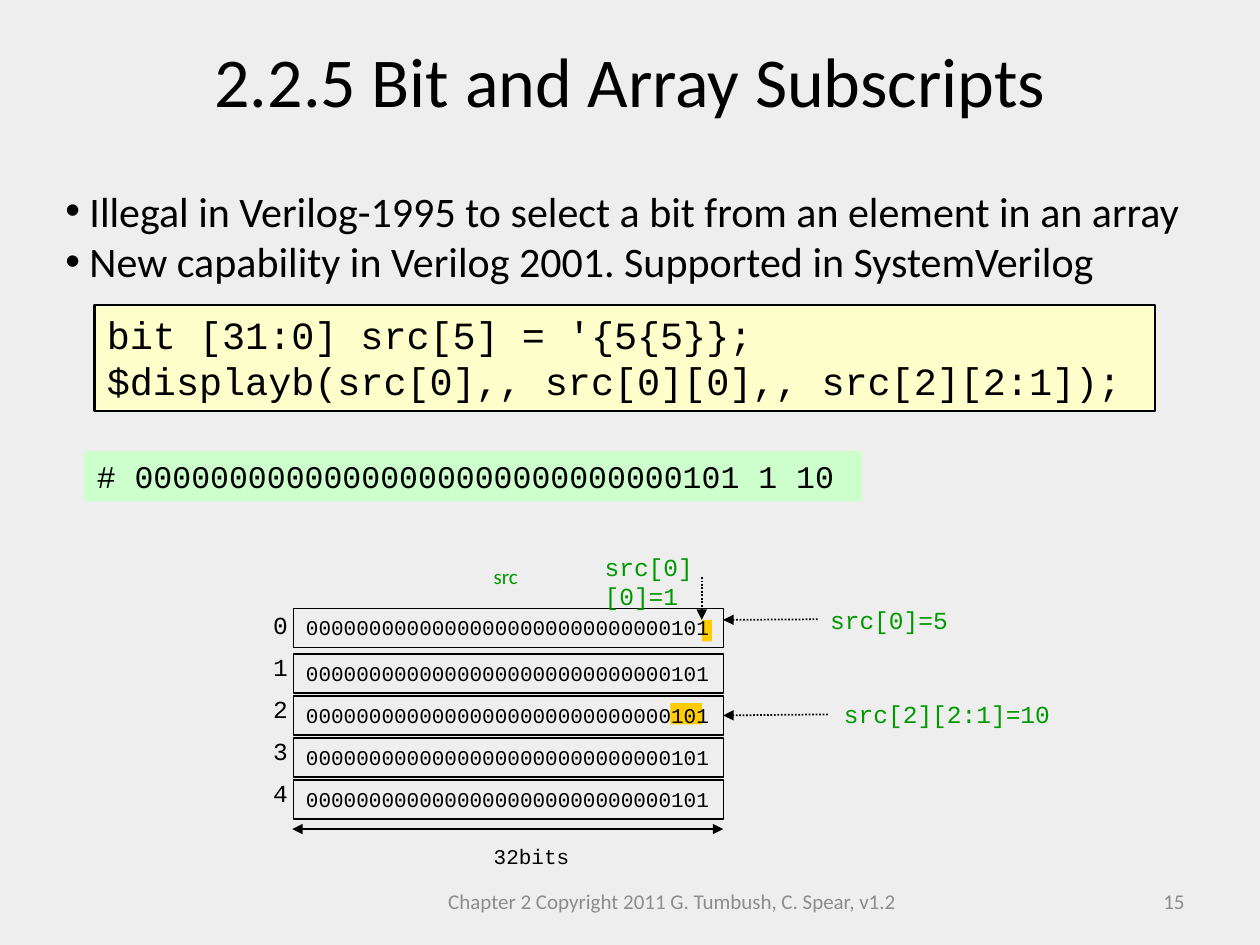
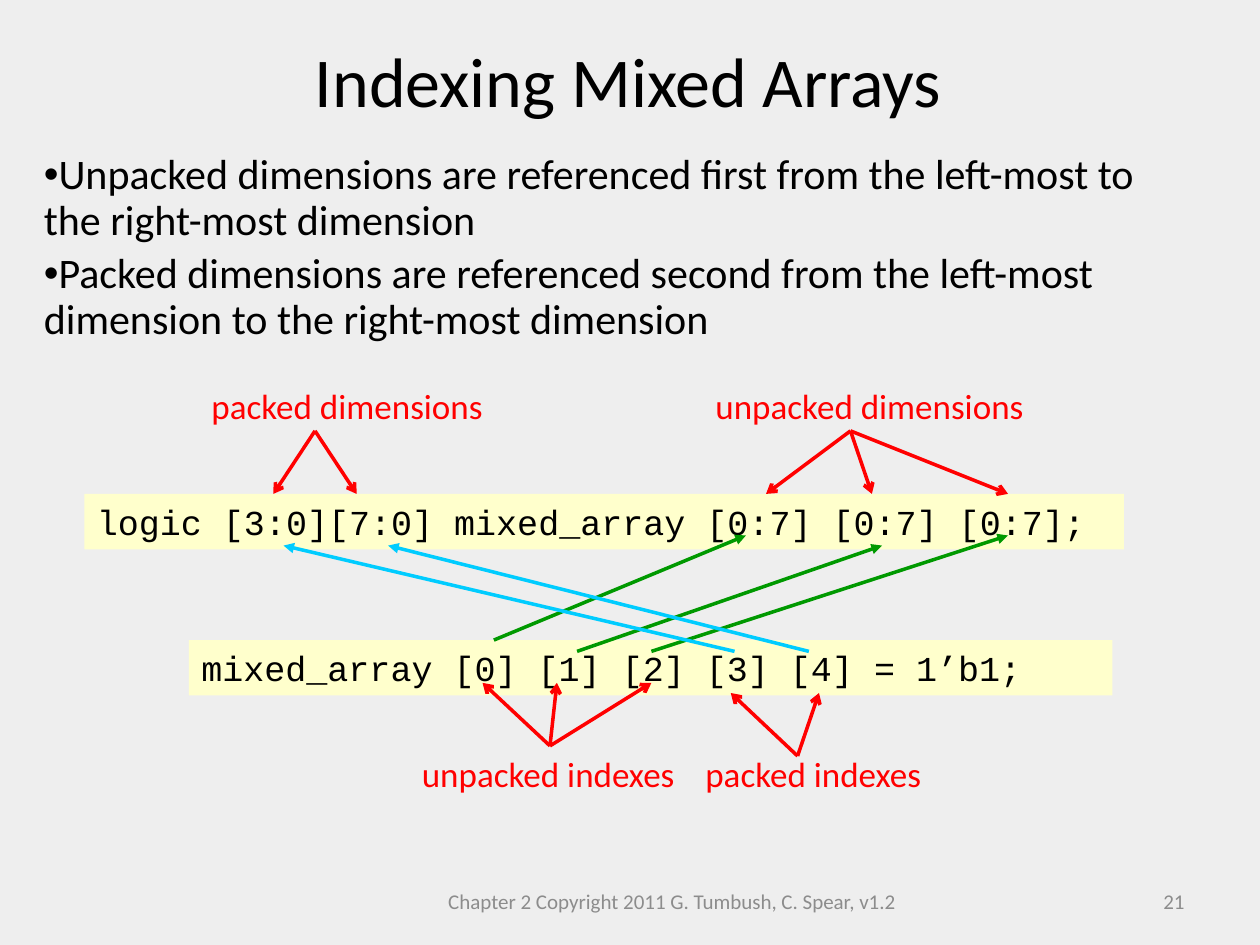
from lxml import etree
from pptx import Presentation
from pptx.dml.color import RGBColor
from pptx.enum import dml, shapes, text
from pptx.oxml.ns import qn
from pptx.util import Inches, Pt

COLOURS = {
    "background": "EEEEEE", "ink": "000000", "footer": "8C8C8C",
    "code": "FFFFCC", "output": "CCFFCC", "highlight": "FFCC00",
    "green": "009900", "blue": "00CCFF", "red": "FF0000",
}
SANS, MONO = "Calibri", "Courier New"
LEFT, CENTER, RIGHT = text.PP_ALIGN.LEFT, text.PP_ALIGN.CENTER, text.PP_ALIGN.RIGHT
TOP_SIDE, LEFT_SIDE, RIGHT_SIDE = 0, 1, 3
FOOTER = "Chapter 2 Copyright 2011 G. Tumbush, C. Spear, v1.2"

# Boxes are (left, top, width, height) and points (x, y), in inches.
SUBSCRIPTS = {
    "title": "2.2.5 Bit and Array Subscripts",
    "title_box": (0, 0.25, 10, 0.77),
    "number": "15",
    "bullets": [
        " Illegal in Verilog-1995 to select a bit from an element in an array",
        " New capability in Verilog 2001. Supported in SystemVerilog",
    ],
    "code": ["bit [31:0] src[5] = '{5{5}};",
             "$displayb(src[0],, src[0][0],, src[2][2:1]);"],
    "output": "# 00000000000000000000000000000101 1 10",
    "word": "00000000000000000000000000000101",
    "highlights": [(5.57, 4.92, 0.08, 0.17), (5.32, 5.58, 0.25, 0.17)],
}
ROW_COUNT, ROW_PITCH = 5, 1 / 3
FIRST_ROW_TOP, SECOND_ROW_TOP = 4.83, 5.19
ROW_LEFT, ROW_WIDTH, ROW_HEIGHT = 2.33, 3.41, 0.31

MIXED = {
    "title": "Indexing Mixed Arrays",
    "title_box": (0.33, 0.25, 9.31, 0.77),
    "number": "21",
    "bullets": [
        "Unpacked dimensions are referenced first from the left-most to the right-most dimension",
        "Packed dimensions are referenced second from the left-most dimension to the right-most dimension",
    ],
    "code": [
        ("logic [3:0][7:0] mixed_array [0:7] [0:7] [0:7];", (0.67, 3.92, 8.25, 0.44)),
        ("mixed_array [0] [1] [2] [3] [4] = 1’b1;", (1.5, 5.08, 7.33, 0.44)),
    ],
    "index_links": [
        ("green", [((3.92, 5.08), (5.92, 4.25)), ((4.58, 5.17), (7, 4.33)),
                   ((5.17, 5.17), (8, 4.25))]),
        ("blue", [((5.83, 5.17), (2.25, 4.33)), ((6.42, 5.17), (3.08, 4.33))]),
    ],
    # label, label box, start of its arrows, arrow tips, starts at middle of label top
    "fans": [
        ("packed dimensions", (1.58, 3, 2.38, 0.44), (2.5, 3.42),
         [(2.17, 3.92), (2.83, 3.92)], False),
        ("unpacked dimensions", (5.58, 3, 2.67, 0.44), (6.75, 3.42),
         [(6.92, 3.92), (6.08, 3.92), (8, 3.92)], False),
        ("unpacked indexes", (3.25, 5.92, 2.23, 0.44), (4.36, 5.92),
         [(3.83, 5.42), (4.42, 5.42), (5.17, 5.42)], True),
        ("packed indexes", (5.5, 5.92, 1.93, 0.44), (6.33, 6),
         [(5.8, 5.5), (6.5, 5.5)], False),
    ],
}


def colour(name):
    return RGBColor.from_string(COLOURS[name])


def write(box, lines, size, font=SANS, ink="ink", align=LEFT, middle=False, wrap=True):
    frame = box.text_frame
    frame.word_wrap = wrap
    frame.vertical_anchor = text.MSO_ANCHOR.MIDDLE if middle else text.MSO_ANCHOR.TOP
    for index, line in enumerate(lines):
        para = frame.paragraphs[0] if index == 0 else frame.add_paragraph()
        para.alignment = align
        span = para.add_run()
        span.text = line
        span.font.size = Pt(size)
        span.font.name = font
        span.font.color.rgb = colour(ink)
    return box


def add_text(parts, place, lines, size, **style):
    return write(parts.add_textbox(*map(Inches, place)), lines, size, **style)


def add_rectangle(parts, place, fill=None, line_width=None):
    box = parts.add_shape(shapes.MSO_SHAPE.RECTANGLE, *map(Inches, place))
    box.shadow.inherit = False
    if fill:
        box.fill.solid()
        box.fill.fore_color.rgb = colour(fill)
    else:
        box.fill.background()
    if line_width:
        box.line.color.rgb = colour("ink")
        box.line.width = Pt(line_width)
    else:
        box.line.fill.background()
    return box


def add_arrow(parts, start, end, ink="ink", width=2, tip="triangle", both=False, dotted=False):
    arrow = parts.add_connector(shapes.MSO_CONNECTOR.STRAIGHT,
                                *map(Inches, (*start, *end)))
    arrow.line.color.rgb = colour(ink)
    arrow.line.width = Pt(width)
    if dotted:
        arrow.line.dash_style = dml.MSO_LINE.ROUND_DOT
    outline = arrow.line._get_or_add_ln()
    for tag in ("a:headEnd", "a:tailEnd") if both else ("a:tailEnd",):
        etree.SubElement(outline, qn(tag), type=tip)
    etree.SubElement(arrow._element.spPr, qn("a:effectLst"))
    return arrow


def add_bullets(box, margin=0):
    for para in box.text_frame.paragraphs:
        properties = para._p.get_or_add_pPr()
        properties.set("marL", str(Inches(margin)))
        properties.set("indent", "0")
        etree.SubElement(properties, qn("a:buFont"), typeface="Arial")
        etree.SubElement(properties, qn("a:buChar"), char="•")


def add_page(deck, content):
    """Add a slide with the shared background, title, footer and number."""
    page = deck.slides.add_slide(deck.slide_layouts[6])
    page.background.fill.solid()
    page.background.fill.fore_color.rgb = colour("background")
    parts = page.shapes
    add_text(parts, (3.42, 6.95, 3.83, 0.4), [FOOTER], 12,
             ink="footer", align=CENTER, middle=True)
    add_text(parts, content["title_box"], [content["title"]], 40, align=CENTER)
    add_text(parts, (7.17, 6.95, 2.33, 0.4), [content["number"]], 12,
             ink="footer", align=RIGHT, middle=True)
    return parts


def build_subscripts(deck):
    parts = add_page(deck, SUBSCRIPTS)
    add_bullets(add_text(parts, (0.42, 1.42, 9.12, 0.91), SUBSCRIPTS["bullets"], 24, wrap=False))
    write(add_rectangle(parts, (0.75, 2.42, 8.42, 0.84), "code", 1.25),
          SUBSCRIPTS["code"], 22, font=MONO)
    write(add_rectangle(parts, (0.67, 3.58, 6.17, 0.4), "output"),
          [SUBSCRIPTS["output"]], 18, font=MONO)

    for place in SUBSCRIPTS["highlights"]:
        add_rectangle(parts, place, "highlight")
    rows = []
    for index in range(ROW_COUNT):
        top = SECOND_ROW_TOP + (index - 1) * ROW_PITCH if index else FIRST_ROW_TOP
        row = add_rectangle(parts, (ROW_LEFT, top, ROW_WIDTH, ROW_HEIGHT), line_width=0.75)
        rows.append(write(row, [SUBSCRIPTS["word"]], 12, font=MONO, wrap=False))
        add_text(parts, (2.07, FIRST_ROW_TOP + index * ROW_PITCH, 0.32, 0.25),
                 [str(index)], 14, font=MONO, middle=True, wrap=False)
    add_arrow(parts, (2.32, 6.58), (5.74, 6.58), width=0.75, both=True)
    add_text(parts, (3.82, 6.67, 0.8, 0.25), ["32bits"], 12, font=MONO, middle=True, wrap=False)

    add_text(parts, (3.82, 4.42, 0.45, 0.3), ["src"], 12, ink="green", wrap=False)
    label = {"font": MONO, "ink": "green", "wrap": False}
    element = add_text(parts, (6.49, 4.75, 1.14, 0.33), ["src[0]=5"], 14, **label)
    add_text(parts, (4.7, 4.33, 1.48, 0.33), ["src[0][0]=1"], 14, **label)
    add_text(parts, (6.6, 5.5, 1.84, 0.33), ["src[2][2:1]=10"], 14, **label)
    dotted = {"width": 1, "dotted": True}
    add_arrow(parts, (6.49, 4.92), (5.74, 4.92), **dotted).begin_connect(element, LEFT_SIDE)
    add_arrow(parts, (5.57, 4.58), (5.57, 4.92), **dotted)
    add_arrow(parts, (6.57, 5.67), (5.74, 5.67), **dotted).end_connect(rows[2], RIGHT_SIDE)


def build_mixed(deck):
    parts = add_page(deck, MIXED)
    body = add_text(parts, (-0.25, 1.17, 9.42, 2.83), MIXED["bullets"], 24)
    for para in body.text_frame.paragraphs:
        para.line_spacing = 0.9
        para.space_before = Pt(4.8)
    add_bullets(body, margin=0.5)
    for line, place in MIXED["code"]:
        write(add_rectangle(parts, place, "code"), [line], 20, font=MONO)
    for ink, links in MIXED["index_links"]:
        group = parts.add_group_shape().shapes
        for start, end in links:
            add_arrow(group, start, end, ink)
    for name, place, start, tips, from_label in MIXED["fans"]:
        group = parts.add_group_shape().shapes
        label = add_text(group, place, [name], 20, ink="red", wrap=False)
        for tip in tips:
            arrow = add_arrow(group, start, tip, "red", tip="arrow")
            if from_label:
                arrow.begin_connect(label, TOP_SIDE)


def main():
    deck = Presentation()
    deck.slide_width, deck.slide_height = Inches(10), Inches(7.5)
    build_subscripts(deck)
    build_mixed(deck)
    deck.save("out.pptx")


if __name__ == "__main__":
    main()
